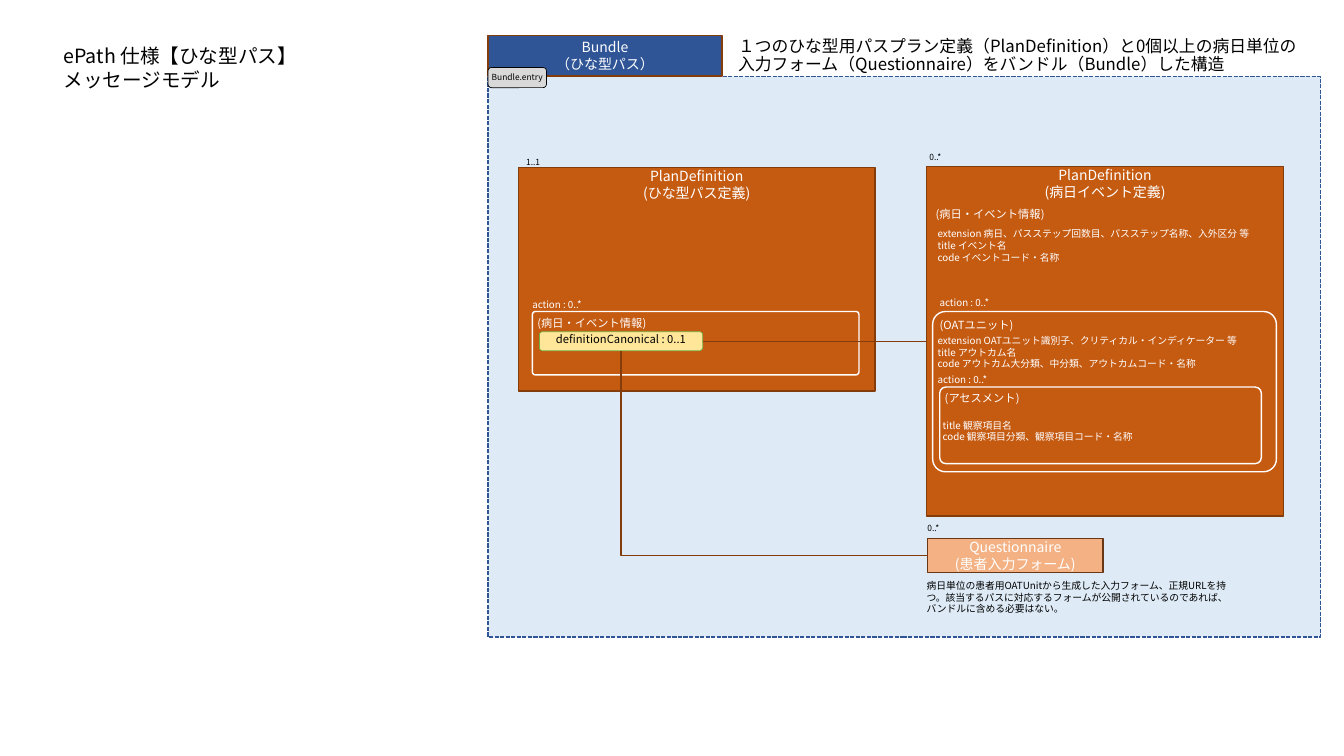
"""Builds the ePath template-path message model slide."""
from copy import deepcopy
from pptx import Presentation
from pptx import util as u
from pptx.dml.color import RGBColor
from pptx.enum import dml, shapes, text
from pptx.oxml.ns import qn
from pptx.oxml.xmlchemy import OxmlElement

FONT = "Noto Sans CJK JP"
CELL = 0.1
COLORS = {
    "white": "FFFFFF", "black": "000000", "navy": "2F5597", "sky": "DEEBF7",
    "brown": "843C0B", "umber": "683715", "rust": "C55A11", "peach": "F4B183",
    "grey": "D9D9D9", "yellow": "FFE699", "green": "70AD47",
}
TITLE = "ePath 仕様【ひな型パス】\nメッセージモデル"
SUMMARY = ("１つのひな型用パスプラン定義（PlanDefinition）と0個以上の病日単位の"
           "入力フォーム（Questionnaire）をバンドル（Bundle）した構造")

# name: (left, top, columns, rows), corner, fill, line, line width, text, size, text colour, anchor
BOXES = {
    "bundle area": ((48.4, 7.6, 82.6, 55.6), None, "sky", "navy", 1, "", 10, "white", "TOP"),
    "bundle": ((48.4, 3.5, 23.2, 4.05), None, "navy", "brown", 1,
               "Bundle\v（ひな型パス）", 10, "white", "MIDDLE"),
    "entry": ((48.4, 6.7, 5.8, 2), 0.17, "grey", "black", 0.5, "Bundle.entry", 6, "black", "MIDDLE"),
    "path plan": ((51.4, 16.6, 35.4, 22.2), None, "rust", "brown", 1,
                  "PlanDefinition\v(ひな型パス定義)", 10, "white", "TOP"),
    "questionnaire": ((92, 53.4, 17.4, 3.4), None, "peach", "umber", 1,
                      "Questionnaire\v(患者入力フォーム)", 10, "white", "TOP"),
    "path action": ((52.8, 30.9, 32.4, 6.3), 0.05, None, "white", 1, "", 8, "white", "TOP"),
    "day plan": ((91.9, 16.5, 35.4, 34.7), None, "rust", "brown", 1,
                 "PlanDefinition\v(病日イベント定義)", 10, "white", "TOP"),
    "outcome unit": ((92.5, 30.9, 34.1, 15.9), 0.08, None, "white", 1, "", 8, "white", "TOP"),
    "assessment": ((93.2, 38.4, 31.9, 7.6), 0.08, None, "white", 1, "", 8, "white", "TOP"),
    "canonical": ((53.5, 32.9, 16.2, 1.9), 0.17, "yellow", "green", 0.5,
                  "definitionCanonical : 0..1", 8, "black", "TOP"),
}
# style: (columns, rows, size, colour, has inset)
LABEL_STYLES = {
    "count": (3.6, 2, 6, "black", True),
    "action": (5.4, 1.2, 7, "white", False),
    "heading": (13.4, 1.3, 8, "white", False),
    "fields": (33.6, 3.5, 7, "white", False),
    "remark": (29.9, 3.5, 7, "black", False),
}
LABELS = [
    ("count", "1..1", 51.2, 15.1),
    ("count", "0..*", 91.2, 14.6),
    ("count", "0..*", 91, 51.4),
    ("action", "action : 0..*", 52.8, 29.6),
    ("action", "action : 0..*", 93.2, 29.4),
    ("action", "action : 0..*", 93, 37.1),
    ("heading", "(病日・イベント情報)", 53.3, 31.4),
    ("heading", "(病日・イベント情報)", 92.8, 20.6),
    ("heading", "(OATユニット)", 93.2, 31.6),
    ("heading", "(アセスメント)", 93.7, 38.8),
    ("fields", "extension 病日、パスステップ回数目、パスステップ名称、入外区分 等\n"
               "title イベント名\ncode イベントコード・名称", 93, 22.6),
    ("fields", "extension OATユニット識別子、クリティカル・インディケーター 等\n"
               "title アウトカム名\ncode アウトカム大分類、中分類、アウトカムコード・名称", 93, 33.2),
    ("fields", "title 観察項目名\ncode 観察項目分類、観察項目コード・名称", 93.5, 41.6),
    ("remark", "病日単位の患者用OATUnitから生成した入力フォーム、正規URLを持つ。"
               "該当するパスに対応するフォームが公開されているのであれば、"
               "バンドルに含める必要はない。", 91.9, 57.5),
]
# (from, side, to, side, bend)
LINKS = [
    ("questionnaire", 1, "canonical", 2, "bentConnector2"),
    ("day plan", 1, "canonical", 3, "bentConnector3"),
]


def rgb(color):
    return RGBColor.from_string(COLORS[color])


def cells(*counts):
    return [u.Inches(count * CELL) for count in counts]


def write(frame, words, size, color, align="LEFT", anchor="TOP", inset=True):
    frame.text = words
    frame.word_wrap = True
    frame.auto_size = text.MSO_AUTO_SIZE.NONE
    frame.vertical_anchor = getattr(text.MSO_ANCHOR, anchor)
    across, down = (0.1, 0.05) if inset else (0, 0)
    frame.margin_left = frame.margin_right = u.Inches(across)
    frame.margin_top = frame.margin_bottom = u.Inches(down)
    for paragraph in frame.paragraphs:
        paragraph.alignment = getattr(text.PP_ALIGN, align)
        for run in paragraph.runs:
            run.font.size = u.Pt(size)
            run.font.name = FONT
            run.font.color.rgb = rgb(color)
            east_asian = OxmlElement("a:ea")
            east_asian.set("typeface", FONT)
            run.font._element.find(qn("a:latin")).addnext(east_asian)
        for line_break in paragraph._p.findall(qn("a:br")):
            line_break.insert(0, deepcopy(paragraph.runs[0].font._element))


def place(placeholder, *area):
    placeholder.left, placeholder.top, placeholder.width, placeholder.height = cells(*area)


def add_box(slide, area, corner, fill, line, width, words, size, color, anchor):
    preset = shapes.MSO_SHAPE.RECTANGLE if corner is None else shapes.MSO_SHAPE.ROUNDED_RECTANGLE
    box = slide.shapes.add_shape(preset, *cells(*area))
    box.shadow.inherit = False
    if corner is not None:
        box.adjustments[0] = corner
    if fill:
        box.fill.solid()
        box.fill.fore_color.rgb = rgb(fill)
    else:
        box.fill.background()
    box.line.color.rgb = rgb(line)
    box.line.width = u.Pt(width)
    if words:
        write(box.text_frame, words, size, color, "CENTER", anchor, inset=False)
    return box


def add_link(slide, source, source_side, target, target_side, bend):
    link = slide.shapes.add_connector(shapes.MSO_CONNECTOR.ELBOW, 0, 0, 0, 0)
    link.begin_connect(source, source_side)
    link.end_connect(target, target_side)
    link.line.color.rgb = rgb("brown")
    link.line.width = u.Pt(1)
    properties = link._element.spPr
    properties.find(qn("a:prstGeom")).set("prst", bend)
    properties.append(OxmlElement("a:effectLst"))


def main():
    deck = Presentation()
    deck.slide_width, deck.slide_height = u.Inches(13.33), u.Inches(7.5)
    slide = deck.slides.add_slide(deck.slide_layouts[1])

    title, summary = slide.placeholders
    place(title, 5.3, 3.9, 37.1, 5.7)
    write(title.text_frame, TITLE, 14, "black")
    place(summary, 72.2, 3.3, 58.8, 4.3)
    write(summary.text_frame, SUMMARY, 12, "black")
    sentence = summary.text_frame.paragraphs[0]
    sentence.line_spacing = 0.9
    sentence.space_before = u.Pt(0)
    layout = sentence._p.get_or_add_pPr()
    layout.set("marL", "0")
    layout.set("indent", "0")
    layout.append(OxmlElement("a:buNone"))

    boxes = {name: add_box(slide, *details) for name, details in BOXES.items()}
    boxes["bundle area"].line.dash_style = dml.MSO_LINE.SQUARE_DOT
    for style, words, left, top in LABELS:
        columns, rows, size, color, inset = LABEL_STYLES[style]
        label = slide.shapes.add_textbox(*cells(left, top, columns, rows))
        write(label.text_frame, words, size, color, inset=inset)
    for source, source_side, target, target_side, bend in LINKS:
        add_link(slide, boxes[source], source_side, boxes[target], target_side, bend)
    deck.save("out.pptx")


if __name__ == "__main__":
    main()
